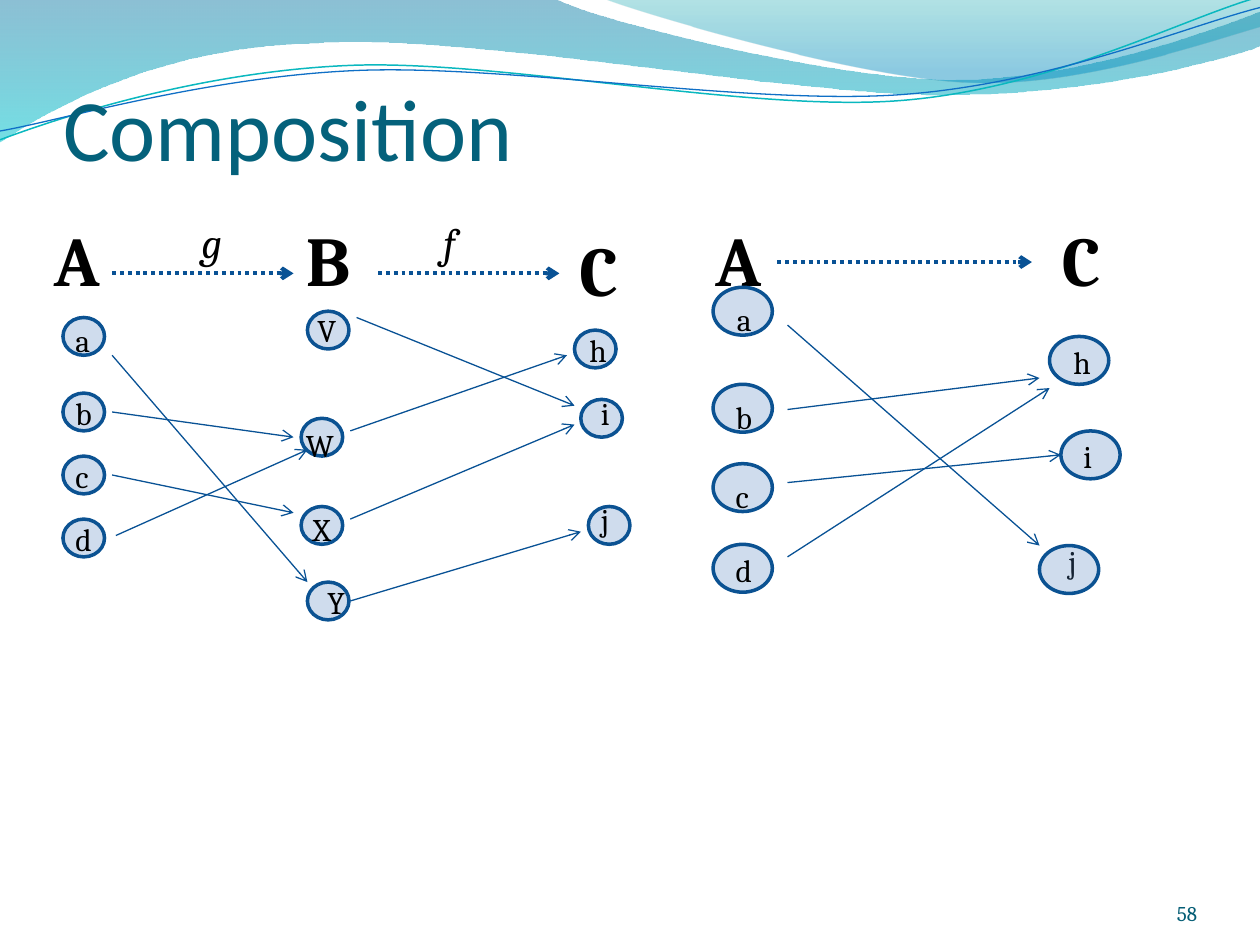
import pptx
import pptx.util
import pptx.dml.color
import pptx.enum.dml
import pptx.enum.shapes
import pptx.enum.text
import pptx.oxml.ns
from lxml import etree

PX = 9144  # 100 px to the inch
COLORS = {
    "text": "000000", "title": "04617B", "number": "045D75",
    "node": "4F81BD", "node_line": "0B5292", "arrow": "095295",
    "teal_line": "0AB8BF", "blue_line": "0F6FC6",
    "wave_top": "0074A1", "wave_bottom": "00C6CF",
    "crest_top": "00A1A9", "crest_bottom": "008BBF",
}

# Each outline: start point, then a point (line) or three points (curve)
WAVE = [(0, 0), (440, -1), (476, 17, 664, 63, 758, 63),
        (853, 63, 958, 26, 1000, 9), (1001, 36),
        (983, 44, 870, 76, 746, 75), (622, 75, 382, 28, 257, 34),
        (129, 36, 46, 83, -1, 113), (0, 0)]
CREST = [(479, -1), (509, 11, 682, 62, 769, 65),
         (856, 69, 961, 32, 1000, 21), (1000, 0), (479, -1)]
TEAL_CURVE = [(0, 111), (48, 93, 158, 57, 277, 52),
              (395, 47, 593, 89, 713, 80), (833, 71, 938, 15, 998, -2)]
BLUE_CURVE = [(0, 104), (47, 96, 164, 61, 283, 56),
              (403, 51, 597, 84, 717, 75), (836, 66, 941, 21, 1000, 6)]

# Mapping diagrams, relative to their boxes
# sets and functions: text, x, y, width, height
# nodes: text, node x, y, label x, y, width, height
# arrows: from x, y, to x, y
CHAIN = {
    "node_size": (33, 30),
    "covered_labels": "",
    "sets": [("A", 0, 0, 75, 77), ("B", 200, 0, 75, 77), ("C", 417, 8, 75, 77)],
    "functions": [("g", 117, 0, 39, 30), ("f", 309, 0, 39, 50)],
    "function_arrows": [(56, 50, 200, 50), (267, 50, 411, 50)],
    "nodes": [
        ("a", 17, 85, 17, 83, 22, 24), ("b", 17, 145, 17, 141, 22, 24),
        ("c", 17, 195, 17, 191, 22, 24), ("d", 17, 245, 17, 241, 22, 24),
        ("V", 211, 80, 209, 75, 25, 40), ("W", 206, 165, 200, 166, 22, 24),
        ("X", 206, 235, 211, 233, 14, 40), ("Y", 211, 295, 217, 291, 22, 24),
        ("h", 423, 95, 425, 91, 22, 24), ("i", 428, 150, 434, 141, 22, 24),
        ("j", 434, 235, 434, 225, 25, 40)],
    "arrows": [
        (56, 115, 211, 295), (56, 160, 200, 180), (56, 210, 200, 240),
        (59, 258, 211, 190), (250, 85, 423, 155), (245, 175, 417, 115),
        (245, 245, 423, 170), (245, 310, 428, 255)],
}
COMPOSED = {
    "node_size": (47, 38),
    "covered_labels": "j",
    "sets": [("A", 0, 0, 70, 59), ("C", 275, 0, 70, 77)],
    "functions": [],
    "function_arrows": [(59, 41, 261, 41)],
    "nodes": [
        ("a", 8, 61, 17, 66, 31, 31), ("b", 8, 138, 16, 144, 31, 31),
        ("c", 8, 201, 16, 207, 31, 31), ("d", 8, 265, 16, 265, 31, 31),
        ("h", 275, 100, 284, 100, 31, 40), ("i", 284, 175, 292, 175, 31, 40),
        ("j", 267, 266, 280, 258, 31, 40)],
    "arrows": [(67, 91, 267, 266), (67, 158, 267, 133),
               (67, 216, 284, 194), (67, 275, 275, 141)],
}


def emu(*lengths):
    return [length * PX for length in lengths]


def rgb(name):
    return pptx.dml.color.RGBColor.from_string(COLORS[name])


def add_child(parent, tag, **attributes):
    return etree.SubElement(parent, pptx.oxml.ns.qn(tag), **attributes)


def set_alpha(shape, percents):
    fills = "./a:gradFill//a:srgbClr | ./a:solidFill/a:srgbClr"
    for color, percent in zip(shape._element.spPr.xpath(fills), percents):
        add_child(color, "a:alpha", val=str(percent * 1000))


def format_font(paragraph, size, color, name="Cambria", bold=False, italic=False):
    for run in paragraph.runs:
        font = run.font
        font.name, font.size = name, pptx.util.Pt(size)
        font.bold, font.italic = bold, italic
        font.color.rgb = rgb(color)


def add_label(slide, text, box, size, **style):
    frame = slide.shapes.add_textbox(*emu(*box)).text_frame
    frame.word_wrap = True
    frame.auto_size = pptx.enum.text.MSO_AUTO_SIZE.SHAPE_TO_FIT_TEXT
    frame.text = text
    format_font(frame.paragraphs[0], size, "text", **style)


def add_node(slide, box):
    node = slide.shapes.add_shape(
        pptx.enum.shapes.MSO_SHAPE.FLOWCHART_CONNECTOR, *emu(*box))
    node.shadow.inherit = False
    node.fill.solid()
    node.fill.fore_color.rgb = rgb("node")
    set_alpha(node, [27])
    node.line.color.rgb = rgb("node_line")
    node.line.width = pptx.util.Pt(2)


def add_arrow(slide, ends, width, dotted=False):
    arrow = slide.shapes.add_connector(
        pptx.enum.shapes.MSO_CONNECTOR.STRAIGHT, *emu(*ends))
    arrow.line.color.rgb = rgb("arrow")
    arrow.line.width = pptx.util.Pt(width)
    if dotted:
        arrow.line.dash_style = pptx.enum.dml.MSO_LINE.ROUND_DOT
    add_child(arrow.line._get_or_add_ln(), "a:tailEnd", type="arrow")
    add_child(arrow._element.spPr, "a:effectLst")


def add_outline(slide, outline, closed):
    points = [segment[k:k + 2] for segment in outline
              for k in range(0, len(segment), 2)]
    builder = slide.shapes.build_freeform(*points[0], scale=PX)
    builder.add_line_segments(points[1:], close=closed)
    shape = builder.convert_to_shape()
    shape.shadow.inherit = False
    # Join each run of three line segments into one Bezier curve
    sides = iter(shape._element.spPr.xpath(".//a:path/a:lnTo"))
    for segment in outline[1:]:
        side = next(sides)
        if len(segment) == 6:
            curve = etree.Element(pptx.oxml.ns.qn("a:cubicBezTo"))
            side.addprevious(curve)
            for part in (side, next(sides), next(sides)):
                curve.append(part[0])
                part.getparent().remove(part)
    return shape


def add_waves(slide):
    for outline, stops in (
            (WAVE, [("wave_top", 0, 45), ("wave_bottom", 1, 55)]),
            (CREST, [("crest_top", 0, 30), ("crest_bottom", 0.8, 45)])):
        wave = add_outline(slide, outline, True)
        wave.line.fill.background()
        wave.fill.gradient()
        wave.fill.gradient_angle = 270
        for stop, (color, position, _) in zip(wave.fill.gradient_stops, stops):
            stop.color.rgb = rgb(color)
            stop.position = position
        set_alpha(wave, [alpha for _, _, alpha in stops])
    for outline, color, width in ((TEAL_CURVE, "teal_line", 0.85),
                                  (BLUE_CURVE, "blue_line", 0.75)):
        curve = add_outline(slide, outline, False)
        curve.fill.background()
        curve.line.color.rgb = rgb(color)
        curve.line.width = pptx.util.Pt(width)


def add_title(slide, text, box):
    title = slide.shapes.title
    title.left, title.top, title.width, title.height = emu(*box)
    frame = title.text_frame
    frame.margin_left = frame.margin_right = frame.margin_bottom = 0
    frame.vertical_anchor = pptx.enum.text.MSO_ANCHOR.BOTTOM
    frame.text = text
    frame.paragraphs[0].alignment = pptx.enum.text.PP_ALIGN.LEFT
    format_font(frame.paragraphs[0], 50, "title", name="Calibri")


def add_mapping(slide, left, top, mapping):
    for text, x, y, *size in mapping["sets"]:
        add_label(slide, text, (left + x, top + y, *size), 40, bold=True)
    for text, x, y, *size in mapping["functions"]:
        add_label(slide, text, (left + x, top + y, *size), 24, italic=True)
    for text, x, y, label_x, label_y, *size in mapping["nodes"]:
        node_box = (left + x, top + y, *mapping["node_size"])
        covered = text in mapping["covered_labels"]
        if not covered:
            add_node(slide, node_box)
        add_label(slide, text, (left + label_x, top + label_y, *size), 18)
        if covered:
            add_node(slide, node_box)
    for key, width, dotted in (("function_arrows", 2.25, True),
                               ("arrows", 0.75, False)):
        for x1, y1, x2, y2 in mapping[key]:
            ends = (left + x1, top + y1, left + x2, top + y2)
            add_arrow(slide, ends, width, dotted)


def add_slide_number(slide, text, box):
    frame = slide.shapes.add_textbox(*emu(*box)).text_frame
    frame.word_wrap = True
    frame.margin_left = frame.margin_right = frame.margin_top = frame.margin_bottom = 0
    frame.vertical_anchor = pptx.enum.text.MSO_ANCHOR.BOTTOM
    frame.text = text
    frame.paragraphs[0].alignment = pptx.enum.text.PP_ALIGN.RIGHT
    format_font(frame.paragraphs[0], 12, "number")


def main():
    deck = pptx.Presentation()
    deck.slide_width, deck.slide_height = emu(1000, 750)
    slide = deck.slides.add_slide(deck.slide_layouts[5])
    add_waves(slide)
    # Title above the waves
    slide.shapes._spTree.append(slide.shapes.title._element)
    add_title(slide, "Composition", (50, 17, 900, 125))
    add_mapping(slide, 558, 167, COMPOSED)
    add_mapping(slide, 33, 167, CHAIN)
    add_slide_number(slide, "58", (867, 695, 83, 40))
    deck.save("out.pptx")


if __name__ == "__main__":
    main()
